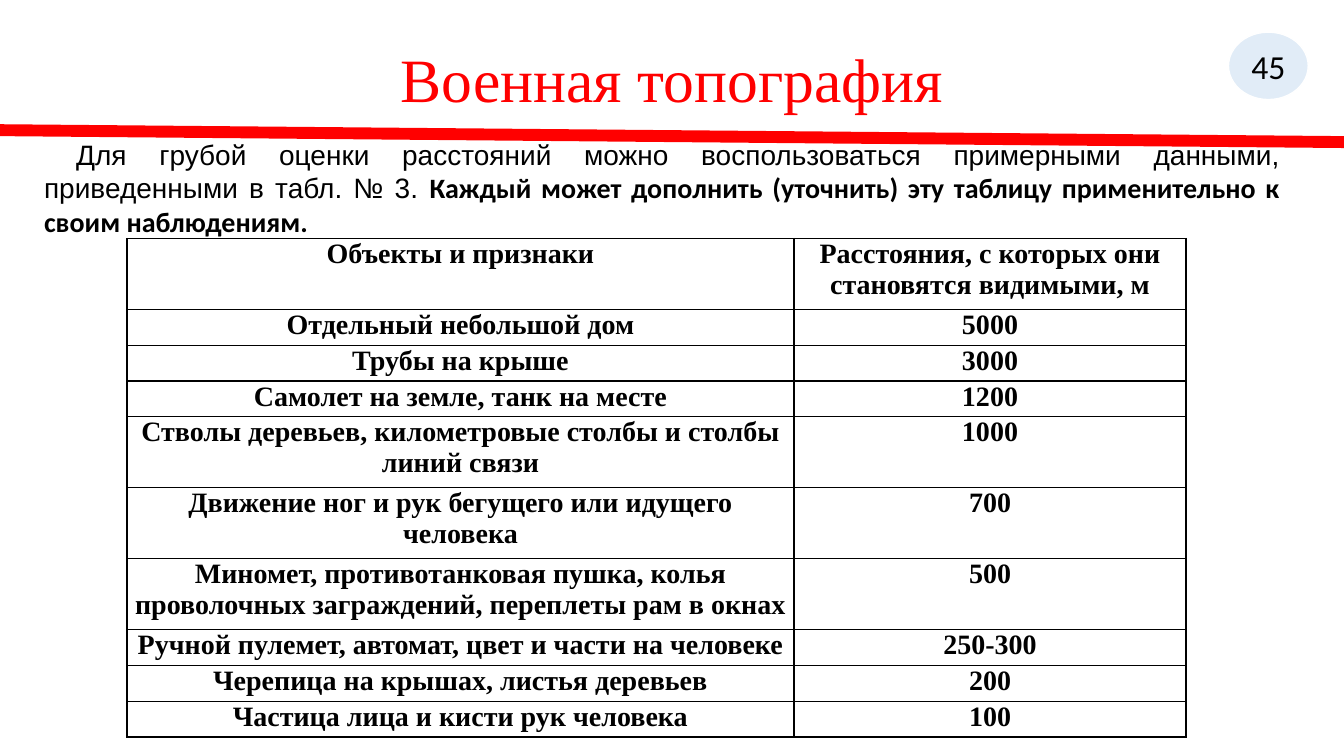
from lxml import etree
from pptx import Presentation
from pptx.dml.color import RGBColor
from pptx.enum.shapes import MSO_CONNECTOR as Connector, MSO_SHAPE as Preset
from pptx.enum.text import MSO_ANCHOR as Anchor, PP_ALIGN as Align
from pptx.oxml.ns import qn
from pptx.util import Cm, Pt

RED = RGBColor(0xFF, 0x00, 0x00)
BLACK = RGBColor(0x00, 0x00, 0x00)
WHITE = RGBColor(0xFF, 0xFF, 0xFF)
BLUE = RGBColor(0x5B, 0x9B, 0xD5)

SLIDE_WIDTH, SLIDE_HEIGHT = Cm(33.87), Cm(19.05)
SERIF = "Times New Roman"
NO_STYLE = "{2D5ABB26-0587-4C30-8999-92F81FD0307C}"
COLUMN_WIDTHS = [Cm(16.81), Cm(9.88)]
SINGLE_ROW, DOUBLE_ROW = Cm(0.9), Cm(1.79)

DISTANCES = [
    ("Объекты и признаки", "Расстояния, с которых они становятся видимыми, м", DOUBLE_ROW),
    ("Отдельный небольшой дом", "5000", SINGLE_ROW),
    ("Трубы на крыше", "3000", SINGLE_ROW),
    ("Самолет на земле, танк на месте", "1200", SINGLE_ROW),
    ("Стволы деревьев, километровые столбы и столбы линий связи", "1000", DOUBLE_ROW),
    ("Движение ног и рук бегущего или идущего человека", "700", DOUBLE_ROW),
    ("Миномет, противотанковая пушка, колья проволочных заграждений, "
     "переплеты рам в окнах", "500", DOUBLE_ROW),
    ("Ручной пулемет, автомат, цвет и части на человеке", "250-300", SINGLE_ROW),
    ("Черепица на крышах, листья деревьев", "200", SINGLE_ROW),
    ("Частица лица и кисти рук человека", "100", SINGLE_ROW),
]


def set_font(font, name, size, color=BLACK, bold=False):
    font.name, font.size, font.bold = name, Pt(size), bold
    font.color.rgb = color


def add_text_box(slide, left, top, width, height):
    frame = slide.shapes.add_textbox(left, top, width, height).text_frame
    frame.word_wrap = True
    frame.vertical_anchor = Anchor.TOP
    return frame


def add_title(slide):
    frame = add_text_box(slide, Cm(2.33), Cm(1.02), Cm(29.21), Cm(3.68))
    frame.margin_top = Cm(0.23)
    paragraph = frame.paragraphs[0]
    paragraph.text = "Военная топография"
    paragraph.alignment = Align.CENTER
    paragraph.line_spacing = 0.9
    set_font(paragraph.font, SERIF, 44, RED)


def add_divider(slide):
    line = slide.shapes.add_connector(
        Connector.STRAIGHT, 0, Cm(3.28), SLIDE_WIDTH, Cm(3.58))
    line.line.color.rgb = RED
    line.line.width = Pt(8.5)
    etree.SubElement(line._element.spPr, qn("a:effectLst"))


def add_page_number(slide):
    badge = slide.shapes.add_shape(Preset.OVAL, Cm(30.96), Cm(0.81), Cm(2.01), Cm(1.7))
    badge.shadow.inherit = False
    badge.fill.solid()
    badge.fill.fore_color.rgb = BLUE
    color = badge._element.spPr.find(qn("a:solidFill")).find(qn("a:srgbClr"))
    etree.SubElement(color, qn("a:alpha"), val="18000")
    badge.line.color.rgb = WHITE
    badge.line.width = Pt(1)
    frame = badge.text_frame
    frame.vertical_anchor = Anchor.MIDDLE
    paragraph = frame.paragraphs[0]
    paragraph.text = "45"
    paragraph.alignment = Align.CENTER
    set_font(paragraph.font, "Calibri", 24)


def set_borders(cell, visible_sides):
    properties = cell._tc.get_or_add_tcPr()
    for side in "LRTB":
        line = etree.SubElement(properties, qn(f"a:ln{side}"), w=str(Pt(1)))
        if side in visible_sides:
            fill = etree.SubElement(line, qn("a:solidFill"))
            etree.SubElement(fill, qn("a:srgbClr"), val=str(BLACK))
        else:
            etree.SubElement(line, qn("a:noFill"))


def fill_cell(cell, text, visible_sides):
    set_borders(cell, visible_sides)
    cell.fill.background()
    cell.margin_left = cell.margin_right = Cm(0.18)
    cell.margin_top = cell.margin_bottom = 0
    paragraph = cell.text_frame.paragraphs[0]
    paragraph.text = text
    paragraph.alignment = Align.CENTER
    set_font(paragraph.font, SERIF, 20, bold=True)


def add_distance_table(slide):
    """Draw the distances below an empty, open top row."""
    rows = [("", "", SINGLE_ROW)] + DISTANCES
    table = slide.shapes.add_table(
        len(rows), len(COLUMN_WIDTHS), Cm(3.2), Cm(5.11),
        sum(COLUMN_WIDTHS), sum(row[-1] for row in rows)).table
    table.first_row = table.horz_banding = False
    table._tbl.tblPr.find(qn("a:tableStyleId")).text = NO_STYLE
    for column, width in zip(table.columns, COLUMN_WIDTHS):
        column.width = width
    for index, (*texts, height) in enumerate(rows):
        table.rows[index].height = height
        for column, text in enumerate(texts):
            fill_cell(table.cell(index, column), text, "LRTB" if index else "B")


def add_introduction(slide):
    frame = add_text_box(slide, Cm(0.86), Cm(3.33), Cm(31.65), Cm(3.76))
    paragraph = frame.paragraphs[0]
    paragraph.alignment = Align.JUSTIFY
    paragraph._p.get_or_add_pPr().set("indent", str(Cm(0.81)))
    plain, strong = paragraph.add_run(), paragraph.add_run()
    plain.text = ("Для грубой оценки расстояний можно воспользоваться примерными "
                  "данными, приведенными в табл. № 3. ")
    strong.text = ("Каждый может дополнить (уточнить) эту таблицу применительно "
                   "к своим наблюдениям.")
    set_font(plain.font, "Arial", 20)
    set_font(strong.font, "Calibri", 20, bold=True)


def main():
    presentation = Presentation()
    presentation.slide_width = SLIDE_WIDTH
    presentation.slide_height = SLIDE_HEIGHT
    slide = presentation.slides.add_slide(presentation.slide_layouts[6])
    add_title(slide)
    add_divider(slide)
    add_page_number(slide)
    add_distance_table(slide)
    add_introduction(slide)
    presentation.save("out.pptx")


if __name__ == "__main__":
    main()
